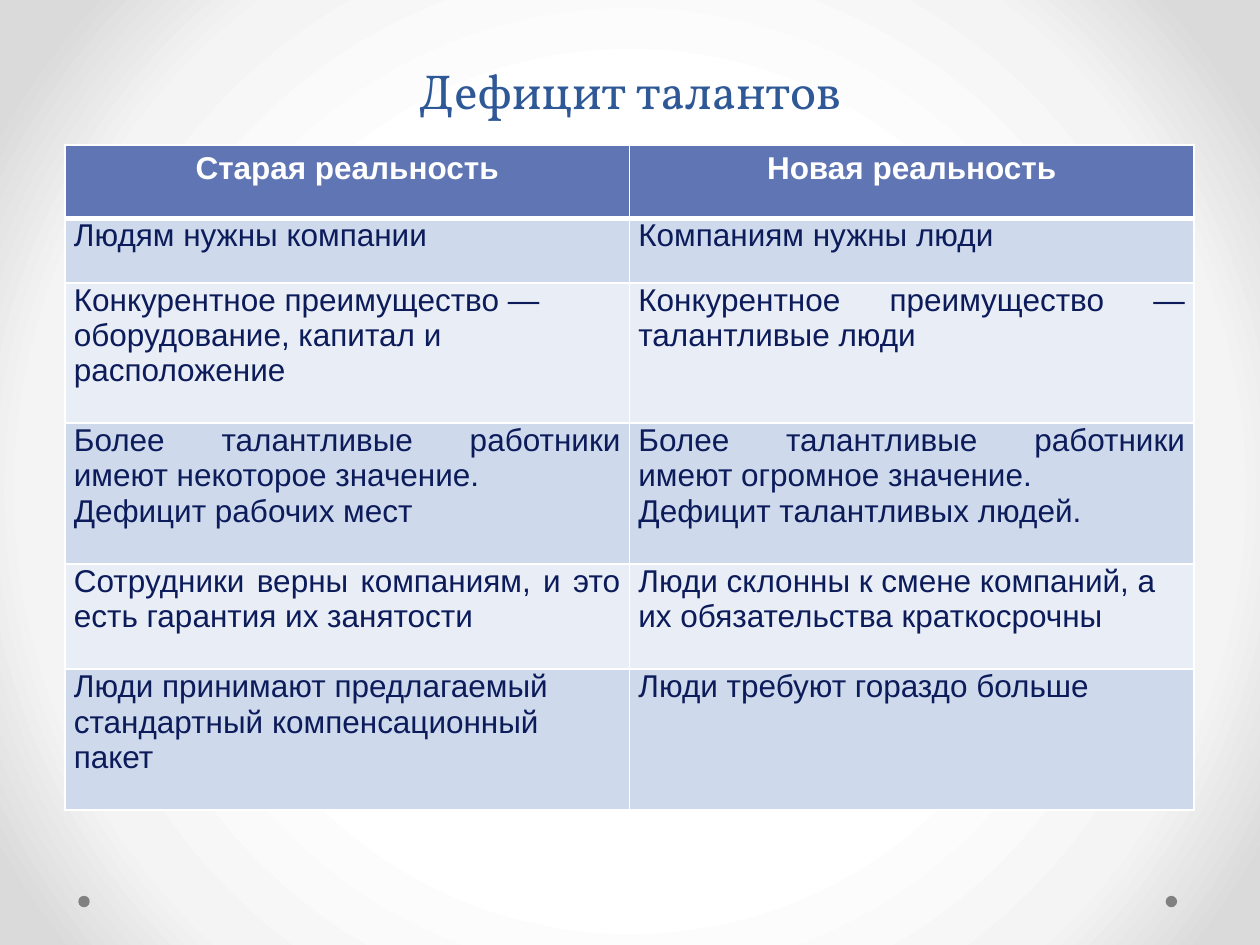
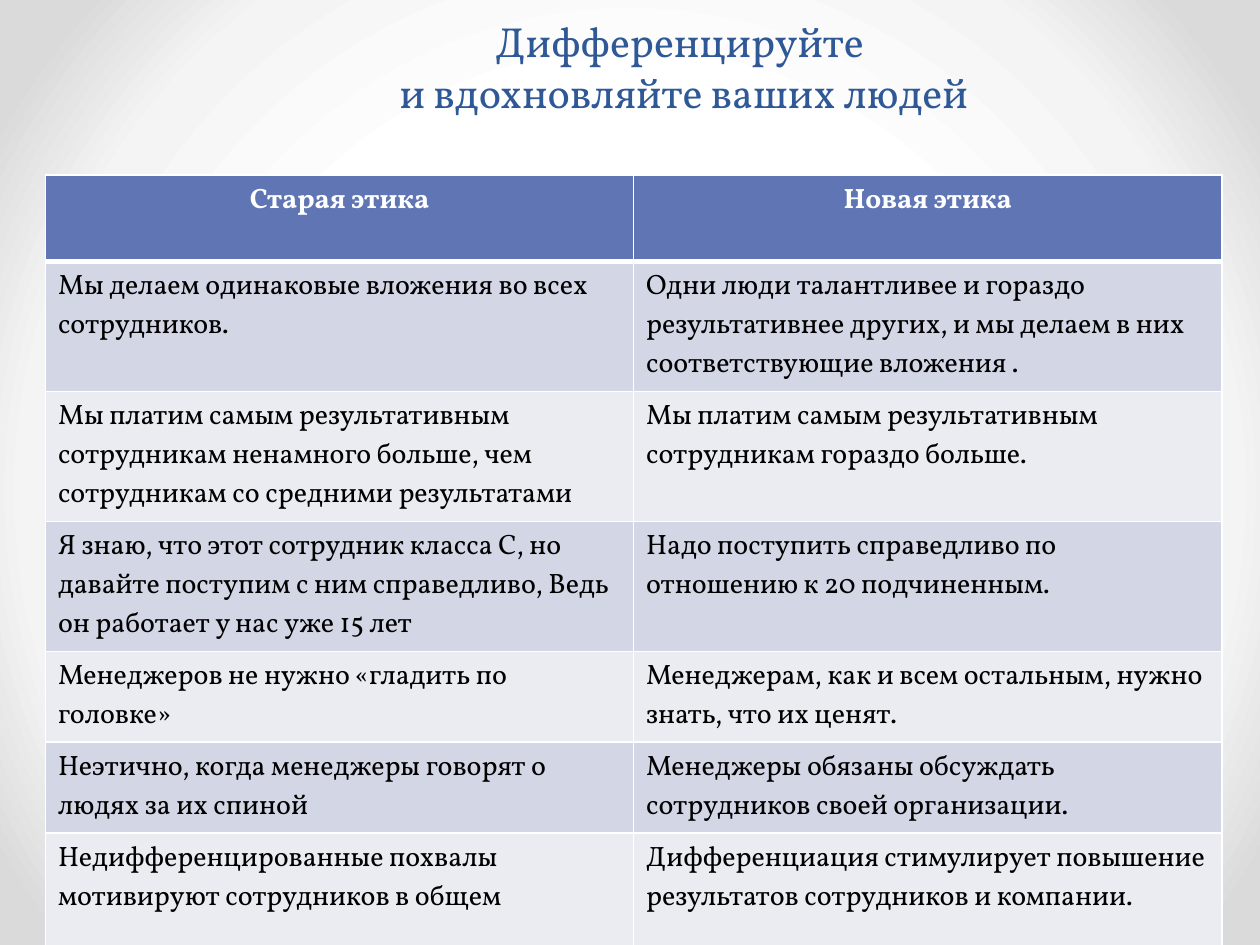
import dataclasses

import lxml.etree
import pptx
import pptx.dml.color
import pptx.enum.shapes
import pptx.enum.text
import pptx.oxml
import pptx.oxml.ns
import pptx.util

Cm = pptx.util.Cm
Pt = pptx.util.Pt
ALIGN = pptx.enum.text.PP_ALIGN


@dataclasses.dataclass(frozen=True)
class Theme:
    """Colours, fonts and type sizes of the deck."""

    title_color: str = "2F5897"
    header_fill: str = "6076B4"
    light: str = "FFFFFF"
    dot: str = "808080"
    serif: str = "Vollkorn"
    sans: str = "Arial"
    glow: tuple = ((51, "FFFFFF"), (77, "F4F4F4"), (93, "DADADA"))
    thin: float = 1
    thick: float = 3


@dataclasses.dataclass(frozen=True)
class TableLook:
    """Type, bands and cell margins of one comparison table."""

    font: str
    size: int
    color: str
    bands: tuple
    align: object
    side: float
    top: float


THEME = Theme()
TALENT_LOOK = TableLook(THEME.sans, 18, "0C1B5A", ("CED9EC", "E8EDF6"), ALIGN.JUSTIFY, 0.18, 0)
ETHICS_LOOK = TableLook(THEME.serif, 16, "000000", ("D2D6E5", "EAECF2"), ALIGN.LEFT, 0.25, 0.13)

TALENT_ROWS = (
    ("Старая реальность", "Новая реальность"),
    ("Людям нужны компании", "Компаниям нужны люди"),
    ("Конкурентное преимущество — оборудование, капитал и расположение",
     "Конкурентное преимущество — талантливые люди"),
    ("Более талантливые работники имеют некоторое значение.\nДефицит рабочих мест",
     "Более талантливые работники имеют огромное значение.\nДефицит талантливых людей."),
    ("Сотрудники верны компаниям, и это есть гарантия их занятости",
     "Люди склонны к смене компаний, а их обязательства краткосрочны"),
    ("Люди принимают предлагаемый стандартный компенсационный пакет",
     "Люди требуют гораздо больше"),
)
TALENT_LEFT_CELLS = {(2, 0), (4, 1), (5, 0)}

ETHICS_ROWS = (
    ("Старая этика", "Новая этика"),
    ("Мы делаем одинаковые вложения во всех сотрудников.",
     "Одни люди талантливее и гораздо результативнее других, "
     "и мы делаем в них соответствующие вложения ."),
    ("Мы платим самым результативным сотрудникам ненамного больше, "
     "чем сотрудникам со средними результатами",
     "Мы платим самым результативным сотрудникам гораздо больше."),
    ("Я знаю, что этот сотрудник класса С, но давайте поступим с ним справедливо, "
     "Ведь он работает у нас уже 15 лет",
     "Надо поступить справедливо по отношению к 20 подчиненным."),
    ("Менеджеров не нужно «гладить по головке»",
     "Менеджерам, как и всем остальным, нужно знать, что их ценят."),
    ("Неэтично, когда менеджеры говорят о людях за их спиной",
     "Менеджеры обязаны обсуждать сотрудников своей организации."),
    ("Недифференцированные похвалы мотивируют сотрудников в общем",
     "Дифференциация стимулирует повышение результатов сотрудников и компании."),
)


def rgb(value):
    """Turn a hex string into a colour."""
    return pptx.dml.color.RGBColor.from_string(value)


def apply(target, values):
    """Set each named attribute of the target."""
    for name, value in values.items():
        setattr(target, name, value)


def style_font(font, name, size, color, bold=False):
    """Give a font its face, size, colour and weight."""
    apply(font, {"name": name, "size": Pt(size), "bold": bold})
    font.color.rgb = rgb(color)


def add_backdrop(page):
    """Paint the round glow and the two footer dots."""
    page.background.fill.gradient()
    gradient = next(page.background._cSld.iter(pptx.oxml.ns.qn("a:gradFill")))
    stops = "".join(
        f'<a:gs pos="{place * 1000}"><a:srgbClr val="{color}"/></a:gs>'
        for place, color in THEME.glow)
    glow = pptx.oxml.parse_xml(
        f'<a:gradFill {pptx.oxml.ns.nsdecls("a")} rotWithShape="1"><a:gsLst>{stops}</a:gsLst>'
        '<a:path path="circle"><a:fillToRect l="50000" t="52000" r="50000" b="48000"/>'
        '</a:path></a:gradFill>')
    gradient.getparent().replace(gradient, glow)
    for left in (23.5, 1.58):
        dot = page.shapes.add_shape(
            pptx.enum.shapes.MSO_SHAPE.OVAL, Cm(left), Cm(18.06), Cm(0.23), Cm(0.23))
        dot.shadow.inherit = False
        dot.fill.solid()
        dot.fill.fore_color.rgb = rgb(THEME.dot)
        dot.line.fill.background()


def add_title(page, box, lines, size, spacing):
    """Write a centred title that stands on the bottom of its box."""
    frame = page.shapes.add_textbox(*map(Cm, box)).text_frame
    apply(frame, {"word_wrap": True, "vertical_anchor": pptx.enum.text.MSO_ANCHOR.BOTTOM})
    para = frame.paragraphs[0]
    apply(para, {"alignment": ALIGN.CENTER, "line_spacing": Pt(spacing)})
    for number, line in enumerate(lines):
        if number:
            para.add_line_break()
        span = para.add_run()
        span.text = line
        style_font(span.font, THEME.serif, size, THEME.title_color)


def set_borders(cell, top, bottom):
    """Draw white lines round a cell."""
    properties = cell._tc.get_or_add_tcPr()
    widths = {"lnL": THEME.thin, "lnR": THEME.thin, "lnT": top, "lnB": bottom}
    for place, (tag, width) in enumerate(widths.items()):
        line = pptx.oxml.parse_xml(
            f'<a:{tag} {pptx.oxml.ns.nsdecls("a")} w="{Pt(width)}"><a:solidFill>'
            f'<a:srgbClr val="{THEME.light}"/></a:solidFill></a:{tag}>')
        properties.insert(place, line)


def fill_cell(cell, text, row, look, align):
    """Give one cell its text, margins, fill and borders."""
    header = row == 0
    side, top = (0.25, 0.13) if header else (look.side, look.top)
    apply(cell, {"text": text, "margin_left": Cm(side), "margin_right": Cm(side),
                 "margin_top": Cm(top), "margin_bottom": Cm(top)})
    cell.fill.solid()
    cell.fill.fore_color.rgb = rgb(THEME.header_fill if header else look.bands[(row - 1) % 2])
    set_borders(cell, THEME.thick if row == 1 else THEME.thin,
                THEME.thick if header else THEME.thin)
    for para in cell.text_frame.paragraphs:
        para.alignment = ALIGN.CENTER if header else align
        for span in para.runs:
            style_font(span.font, look.font, look.size,
                       THEME.light if header else look.color, header)


def add_comparison(page, box, heights, rows, look, left_cells=()):
    """Place a table of two equal columns, old against new."""
    left, top, width = box
    table = page.shapes.add_table(
        len(rows), 2, Cm(left), Cm(top), Cm(width), Cm(sum(heights))).table
    for row, (height, texts) in enumerate(zip(heights, rows)):
        table.rows[row].height = Cm(height)
        for column, text in enumerate(texts):
            align = ALIGN.LEFT if (row, column) in left_cells else look.align
            fill_cell(table.cell(row, column), text, row, look, align)


def build_talent_page(page):
    """Build the page on the shortage of talent."""
    add_backdrop(page)
    add_title(page, (1.27, 0, 22.86, 2.53), ("Дефицит талантов",), 28, 58)
    add_comparison(page, (1.31, 2.92, 22.76), (1.48, 1.3, 2.83, 2.84, 2.12, 2.84),
                   TALENT_ROWS, TALENT_LOOK, TALENT_LEFT_CELLS)


def build_ethics_page(page):
    """Build the page on the old and new ethics."""
    add_backdrop(page)
    add_title(page, (2.9, 1.13, 21.77, 1.35),
              ("Дифференцируйте ", "и вдохновляйте ваших людей"), 24, 29.3)
    add_comparison(page, (0.92, 3.53, 23.71), (1.74, 2.62, 2.62, 2.62, 1.83, 1.83, 2.29),
                   ETHICS_ROWS, ETHICS_LOOK)


def main():
    """Build and save the deck."""
    deck = pptx.Presentation()
    apply(deck, {"slide_width": Cm(25.4), "slide_height": Cm(19.05)})
    for build in (build_talent_page, build_ethics_page):
        build(deck.slides.add_slide(deck.slide_layouts[6]))
    deck.save("out.pptx")


if __name__ == "__main__":
    main()
